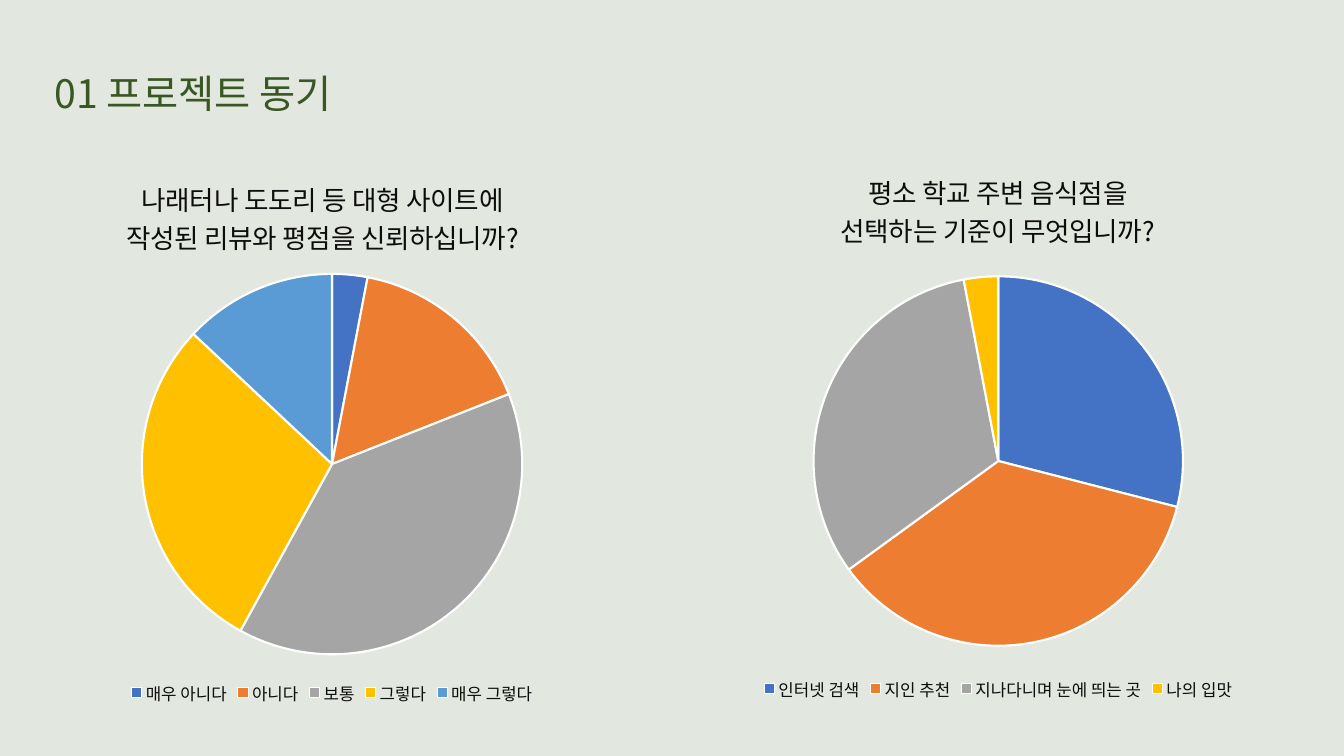
"""Build the project motive slide with its two survey pies."""
from dataclasses import dataclass

from pptx import Presentation
from pptx.chart.data import CategoryChartData
from pptx.dml.color import RGBColor
from pptx.enum.chart import XL_CHART_TYPE, XL_LEGEND_POSITION
from pptx.enum.text import MSO_ANCHOR, PP_ALIGN
from pptx.oxml import parse_xml
from pptx.oxml.ns import nsdecls, qn
from pptx.util import Pt


@dataclass(frozen=True)
class Theme:
    face: str = "Noto Sans CJK KR"
    back: str = "E2E7DF"
    head: str = "385723"
    ink: str = "0D0D0D"
    edge: str = "FFFFFF"
    slices: tuple = ("4472C4", "ED7D31", "A5A5A5", "FFC000", "5B9BD5")
    big: int = 28
    mid: int = 19
    small: int = 12


theme = Theme()


def style(font, size, color):
    """Apply the theme face, a size and a colour to a font."""
    looks = {"name": theme.face, "size": Pt(size), "bold": False}
    for key, value in looks.items():
        setattr(font, key, value)
    font.color.rgb = RGBColor.from_string(color)
    props = font._element if hasattr(font, "_element") else font._rPr
    for old in props.findall(qn("a:ea")):
        props.remove(old)
    east = parse_xml(f'<a:ea {nsdecls("a")} typeface="{theme.face}"/>')
    props.find(qn("a:latin")).addnext(east)


def place(node, after, **spots):
    """Give a chart part a manual layout, set after a named child."""
    for old in node.findall(qn("c:layout")):
        node.remove(old)
    inner = '<c:layoutTarget val="inner"/>' if "w" in spots else ""
    modes = "".join(f'<c:{k}Mode val="edge"/>' for k in "xy")
    parts = "".join(f'<c:{k} val="{v}"/>' for k, v in spots.items())
    layout = parse_xml(
        f'<c:layout {nsdecls("c")}><c:manualLayout>{inner}{modes}{parts}'
        "</c:manualLayout></c:layout>")
    if after is None:
        node.insert(0, layout)
    else:
        node.find(qn(after)).addnext(layout)


deck = Presentation()
deck.slide_width, deck.slide_height = Pt(960), Pt(540)
slide = deck.slides.add_slide(deck.slide_layouts[5])
slide.background.fill.solid()
slide.background.fill.fore_color.rgb = RGBColor.from_string(theme.back)

title = slide.shapes.title
box = {"left": Pt(24), "top": Pt(33), "width": Pt(319), "height": Pt(67)}
for key, value in box.items():
    setattr(title, key, value)
frame = title.text_frame
frame.text = "01 프로젝트 동기"
frame.margin_left = Pt(15)
frame.vertical_anchor = MSO_ANCHOR.MIDDLE
frame.paragraphs[0].alignment = PP_ALIGN.LEFT
style(frame.paragraphs[0].runs[0].font, theme.big, theme.head)

polls = [
    {"box": (-49.7, 113, 573.8, 393.8),
     "lines": ("나래터나 도도리 등 대형 사이트에",
               "작성된 리뷰와 평점을 신뢰하십니까?"),
     "names": ("매우 아니다", "아니다", "보통", "그렇다", "매우 그렇다"),
     "values": (3, 16, 39, 29, 13),
     "head": {"x": 0.24, "y": 0.03},
     "plot": {"x": 0.26, "y": 0.21, "w": 0.48, "h": 0.69}},
    {"box": (426.2, 115.9, 573.8, 388.1),
     "lines": ("평소 학교 주변 음식점을", "선택하는 기준이 무엇입니까?"),
     "names": ("인터넷 검색", "지인 추천", "지나다니며 눈에 띄는 곳",
               "나의 입맛"),
     "values": (29, 36, 32, 3),
     "head": {"x": 0.3, "y": 0.01},
     "plot": {"x": 0.27, "y": 0.21, "w": 0.46, "h": 0.68}},
]

for poll in polls:
    data = CategoryChartData()
    data.categories = poll["names"]
    data.add_series("Series 1", poll["values"])
    chart = slide.shapes.add_chart(
        XL_CHART_TYPE.PIE, *map(Pt, poll["box"]), data).chart
    style(chart.font, theme.small, theme.ink)

    head = chart.chart_title.text_frame
    head.text = "\n".join(poll["lines"])
    for line in head.paragraphs:
        line.alignment = PP_ALIGN.CENTER
        style(line.runs[0].font, theme.mid, theme.ink)
    place(chart.chart_title._element, "c:tx", **poll["head"])

    chart.has_legend = True
    chart.legend.position = XL_LEGEND_POSITION.BOTTOM
    chart.legend.include_in_layout = False
    style(chart.legend.font, theme.small, theme.ink)

    pie = chart.plots[0]
    pie.vary_by_categories = True
    for spot, color in enumerate(theme.slices[:len(poll["names"])]):
        look = pie.series[0].points[spot].format
        look.fill.solid()
        look.fill.fore_color.rgb = RGBColor.from_string(color)
        look.line.color.rgb = RGBColor.from_string(theme.edge)
        look.line.width = Pt(1.5)

    body = chart._chartSpace.find(qn("c:chart"))
    place(body.find(qn("c:plotArea")), None, **poll["plot"])
    body.addnext(parse_xml(
        f'<c:spPr {nsdecls("c", "a")}><a:noFill/>'
        "<a:ln><a:noFill/></a:ln></c:spPr>"))

deck.save("out.pptx")
